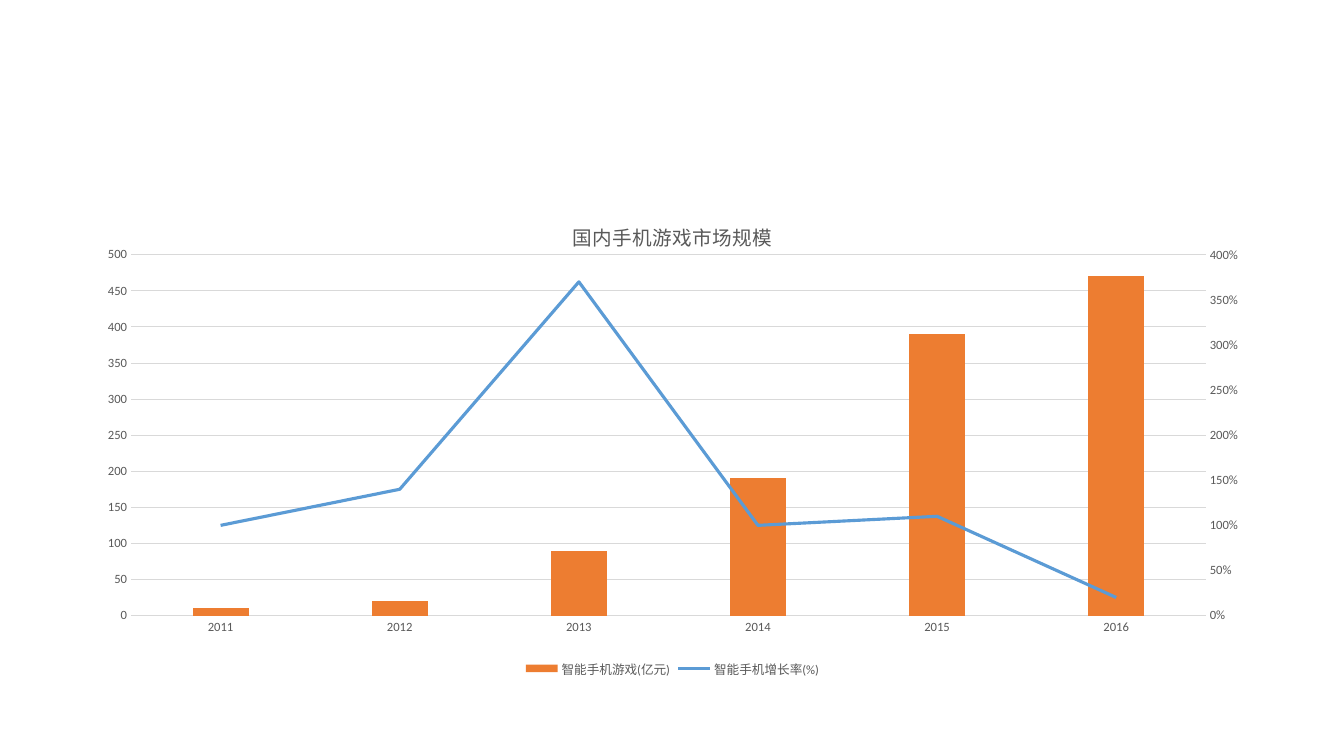
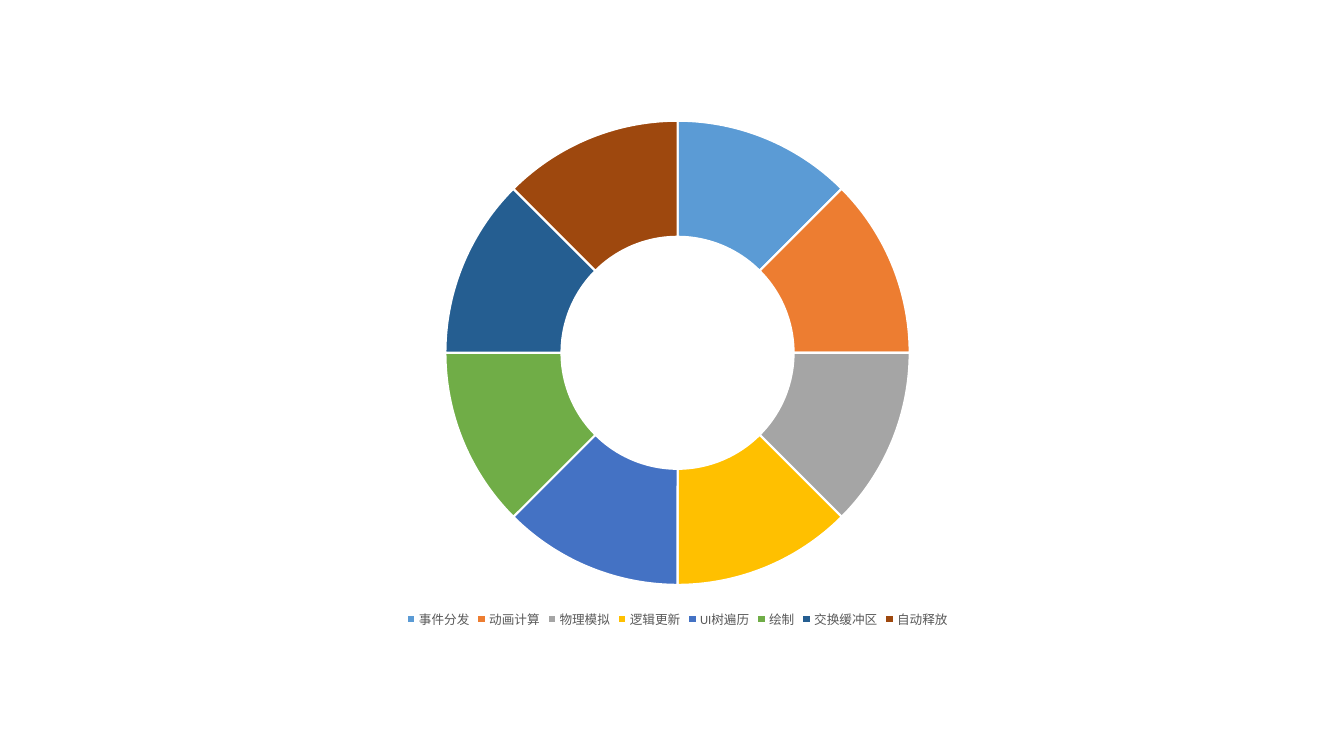
from pptx import Presentation
from pptx import util as u
from pptx.chart import axis as chart_axis
from pptx.chart.data import CategoryChartData
from pptx.dml.color import RGBColor
from pptx.enum import chart as c
from pptx.oxml import parse_xml
from pptx.oxml.ns import nsdecls

FONT = "Calibri"
BLACK = RGBColor(0x00, 0x00, 0x00)
WHITE = RGBColor(0xFF, 0xFF, 0xFF)
TEXT_GRAY = RGBColor(0x59, 0x59, 0x59)
RULE_GRAY = RGBColor(0xD9, 0xD9, 0xD9)
BLUE = RGBColor(0x5B, 0x9B, 0xD5)
ORANGE = RGBColor(0xED, 0x7D, 0x31)
GRAY = RGBColor(0xA5, 0xA5, 0xA5)
GOLD = RGBColor(0xFF, 0xC0, 0x00)
INDIGO = RGBColor(0x44, 0x72, 0xC4)
GREEN = RGBColor(0x70, 0xAD, 0x47)
NAVY = RGBColor(0x25, 0x5E, 0x91)
BROWN = RGBColor(0x9E, 0x48, 0x0E)

YEARS = ["2011", "2012", "2013", "2014", "2015", "2016"]
MARKET_SIZE = [10, 20, 90, 190, 390, 470]
GROWTH_RATE = [1, 1.4, 3.7, 1, 1.1, 0.2]
LOOP_STEPS = [
    ("事件分发", BLUE), ("动画计算", ORANGE), ("物理模拟", GRAY), ("逻辑更新", GOLD),
    ("UI树遍历", INDIGO), ("绘制", GREEN), ("交换缓冲区", NAVY), ("自动释放", BROWN),
]


def style_font(font, size, color=TEXT_GRAY):
    font.name = FONT
    font.size = u.Pt(size)
    font.bold = False
    font.color.rgb = color


def style_line(line, color, width):
    line.color.rgb = color
    line.width = u.Pt(width)


def add_chart(presentation, kind, box, categories, series):
    """Add a slide holding one chart with a legend below it."""
    slide = presentation.slides.add_slide(presentation.slide_layouts[6])
    data = CategoryChartData()
    data.categories = categories
    for name, values in series:
        data.add_series(name, values)
    chart = slide.shapes.add_chart(kind, *map(u.Inches, box), data).chart
    style_font(chart.font, 10, BLACK)
    chart.has_title = False
    chart.has_legend = True
    chart.legend.position = c.XL_LEGEND_POSITION.BOTTOM
    chart.legend.include_in_layout = False
    style_font(chart.legend.font, 9)
    return chart


def add_title(chart, title):
    chart.has_title = True
    run = chart.chart_title.text_frame.paragraphs[0].add_run()
    run.text = title
    style_font(run.font, 14)


def set_plot_layout(chart, x, y, width, height):
    plot_area = chart.element.xpath(".//c:plotArea")[0]
    for layout in plot_area.xpath("./c:layout"):
        plot_area.remove(layout)
    sizes = "".join(f'<c:{tag} val="{value}"/>' for tag, value in
                    zip("xywh", (x, y, width, height)))
    plot_area.insert(0, parse_xml(
        f'<c:layout {nsdecls("c")}><c:manualLayout><c:layoutTarget val="inner"/>'
        f'<c:xMode val="edge"/><c:yMode val="edge"/>{sizes}'
        '</c:manualLayout></c:layout>'))


def style_value_axis(axis, maximum, step, number_format):
    axis.minimum_scale = 0
    axis.maximum_scale = maximum
    axis.major_unit = step
    axis.major_tick_mark = c.XL_TICK_MARK.NONE
    axis.minor_tick_mark = c.XL_TICK_MARK.NONE
    axis.format.line.fill.background()
    axis.tick_labels.number_format = number_format
    axis.tick_labels.number_format_is_linked = False
    style_font(axis.tick_labels.font, 9)


def move_last_series_to_line(chart):
    """Turn the last column series into a line; return its right-hand axis."""
    bar_chart = chart.element.xpath(".//c:barChart")[0]
    series = bar_chart.xpath("./c:ser")[-1]
    for flag in series.xpath("./c:invertIfNegative"):
        series.remove(flag)
    line_chart = parse_xml(
        f'<c:lineChart {nsdecls("c")}><c:grouping val="standard"/>'
        '<c:varyColors val="0"/><c:marker val="1"/>'
        '<c:axId val="5001"/><c:axId val="5002"/></c:lineChart>')
    line_chart.insert(2, series)
    bar_chart.addnext(line_chart)
    category_axis = parse_xml(
        f'<c:catAx {nsdecls("c")}><c:axId val="5001"/>'
        '<c:scaling><c:orientation val="minMax"/></c:scaling><c:delete val="1"/>'
        '<c:axPos val="b"/><c:crossAx val="5002"/><c:crosses val="autoZero"/></c:catAx>')
    value_axis = parse_xml(
        f'<c:valAx {nsdecls("c")}><c:axId val="5002"/>'
        '<c:scaling><c:orientation val="minMax"/></c:scaling><c:delete val="0"/>'
        '<c:axPos val="r"/><c:tickLblPos val="nextTo"/><c:crossAx val="5001"/>'
        '<c:crosses val="max"/><c:crossBetween val="between"/></c:valAx>')
    last_axis = chart.element.xpath(".//c:plotArea/c:valAx")[-1]
    last_axis.addnext(value_axis)
    value_axis.addnext(category_axis)
    return chart_axis.ValueAxis(value_axis)


def add_market_slide(presentation):
    chart = add_chart(
        presentation, c.XL_CHART_TYPE.COLUMN_CLUSTERED, (0.92, 2, 11.5, 4.76), YEARS,
        [("智能手机游戏(亿元)", MARKET_SIZE), ("智能手机增长率(%)", GROWTH_RATE)])
    add_title(chart, "国内手机游戏市场规模")
    set_plot_layout(chart, 0.033, 0.111, 0.927, 0.752)

    # Axes: value_axis means the left one only until the right one exists
    left_axis = chart.value_axis
    style_value_axis(left_axis, 500, 50, "General")
    style_line(left_axis.major_gridlines.format.line, RULE_GRAY, 0.75)
    years = chart.category_axis
    years.major_tick_mark = c.XL_TICK_MARK.NONE
    style_line(years.format.line, RULE_GRAY, 0.75)
    style_font(years.tick_labels.font, 9)
    right_axis = move_last_series_to_line(chart)
    style_value_axis(right_axis, 4, 0.5, "0%")

    # Columns and growth line
    columns, lines = chart.plots
    columns.gap_width = 219
    columns.overlap = -27
    columns.vary_by_categories = False
    fill = columns.series[0].format.fill
    fill.solid()
    fill.fore_color.rgb = ORANGE
    growth = lines.series[0]
    growth.smooth = False
    growth.marker.style = c.XL_MARKER_STYLE.NONE
    style_line(growth.format.line, BLUE, 2.25)


def add_loop_slide(presentation):
    chart = add_chart(
        presentation, c.XL_CHART_TYPE.DOUGHNUT, (3.25, 1.06, 6.94, 5.21),
        [name for name, _ in LOOP_STEPS], [("Series 1", [12] * len(LOOP_STEPS))])
    chart.plots[0].vary_by_categories = True
    chart.element.xpath(".//c:holeSize")[0].set("val", "75")
    ring = chart.plots[0].series[0]
    for index, (_, color) in enumerate(LOOP_STEPS):
        segment = ring.points[index].format
        segment.fill.solid()
        segment.fill.fore_color.rgb = color
        style_line(segment.line, WHITE, 1.5)


def main():
    presentation = Presentation()
    presentation.slide_width = u.Inches(13.33)
    presentation.slide_height = u.Inches(7.5)
    add_market_slide(presentation)
    add_loop_slide(presentation)
    presentation.save("out.pptx")


main()
